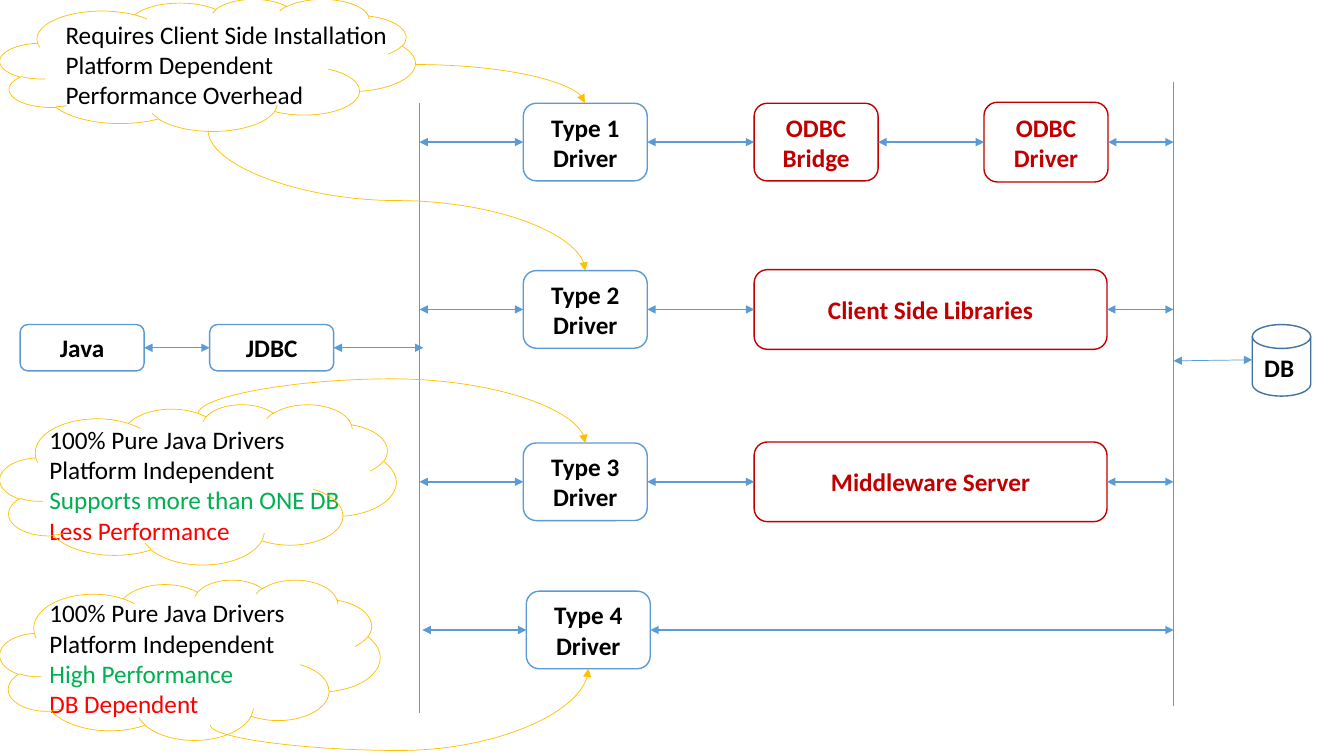
"""Build a slide comparing the four JDBC driver types."""
from dataclasses import dataclass

from lxml import etree
from pptx import Presentation
from pptx import util as u
from pptx.dml import color as dc
from pptx.enum import shapes, text
from pptx.oxml import ns

BLUE, RED, GOLD, BLACK, WHITE = "5B9BD5", "C00000", "FFC000", "000000", "FFFFFF"
GREEN, BRIGHT_RED, DISK_BLUE = "00B050", "FF0000", "43739E"
LEFT_BUS, RIGHT_BUS = 4.16, 11.64
BOX_W, DRIVER_H, BLOCK_H, ENTRY_H = 1.23, 0.77, 0.79, 0.46
ENTRY_MIDDLE = 3.45
SHAPE = shapes.MSO_SHAPE
CONNECTOR = shapes.MSO_CONNECTOR


@dataclass
class Box:
    label: str
    left: float
    width: float = BOX_W
    height: float = BLOCK_H
    color: str = RED
    ink: str = RED


@dataclass
class Row:
    middle: float
    blocks: list[Box]
    shift: float = 0


@dataclass
class Note:
    left: float
    top: float
    width: float
    height: float
    indent: float
    lines: list[tuple[str, str]]
    cloud: tuple[float, float, float, float]


@dataclass
class Curve:
    left: float
    top: float
    width: float
    height: float
    preset: str = "curvedConnector3"
    rotation: int = 0
    flips: str = ""
    bend: float = 0.5


ROWS = [
    Row(1.41, [Box("ODBC\nBridge", 7.48, height=DRIVER_H), Box("ODBC\nDriver", 9.76)]),
    Row(3.07, [Box("Client Side Libraries", 7.48, 3.5)]),
    Row(4.78, [Box("Middleware Server", 7.48, 3.5)]),
    Row(6.25, [], 0.03),
]
ENTRIES = [
    Box("Java", 0.2, height=ENTRY_H, color=BLUE, ink=BLACK),
    Box("JDBC", 2.08, height=ENTRY_H, color=BLUE, ink=BLACK),
]
PURE_JAVA = [("100% Pure Java Drivers", BLACK), ("Platform Independent", BLACK)]
NOTES = [
    Note(0.15, 0.14, 3.95, 1.01, 0.5,
         [("Requires Client Side Installation", BLACK), ("Platform Dependent", BLACK),
          ("Performance Overhead", BLACK)], (0, -0.01, 4.12, 1.31)),
    Note(0.05, 4.16, 4.06, 1.31, 0.44,
         PURE_JAVA + [("Supports more than ONE DB", GREEN), ("Less Performance", BRIGHT_RED)],
         (0, 4.01, 3.93, 1.59)),
    Note(0.05, 5.88, 4.06, 1.31, 0.44,
         PURE_JAVA + [("High Performance", GREEN), ("DB Dependent", BRIGHT_RED)],
         (0, 5.75, 3.77, 1.59)),
]
CURVES = [
    Curve(4.12, 0.64, 1.68, 0.38, "curvedConnector2"),
    Curve(3.24, 0.12, 1.39, 3.74, rotation=270, flips="H"),
    Curve(3.74, 2.33, 0.29, 3.84, rotation=270, flips="H", bend=-1.196),
    Curve(3.68, 5.04, 0.56, 3.75, rotation=90, flips="HV", bend=-0.449),
]


def rgb(value: str) -> dc.RGBColor:
    return dc.RGBColor.from_string(value)


def add_outline(s, kind, left: float, top: float, width: float, height: float,
                color: str, weight: float = 1, fill: str = ""):
    sp = s.shapes.add_shape(kind, *map(u.Inches, (left, top, width, height)))
    sp.shadow.inherit = False
    if fill:
        sp.fill.solid()
        sp.fill.fore_color.rgb = rgb(fill)
    else:
        sp.fill.background()
    sp.line.color.rgb = rgb(color)
    sp.line.width = u.Pt(weight)
    return sp


def format_text(p, color: str, bold: bool = False) -> None:
    for r in p.runs:
        r.font.name = "Calibri"
        r.font.size = u.Pt(18)
        r.font.bold = bold
        r.font.color.rgb = rgb(color)


def add_box(s, box: Box, middle: float) -> None:
    sp = add_outline(s, SHAPE.ROUNDED_RECTANGLE, box.left, middle - box.height / 2,
                     box.width, box.height, box.color, fill=WHITE)
    tf = sp.text_frame
    tf.word_wrap = True
    tf.vertical_anchor = text.MSO_ANCHOR.MIDDLE
    tf.text = box.label
    for p in tf.paragraphs:
        p.alignment = text.PP_ALIGN.CENTER
        format_text(p, box.ink, True)


def add_line(s, x1: float, y1: float, x2: float, y2: float, color: str = BLUE,
             weight: float = 1, ends: tuple[str, ...] = (), kind=CONNECTOR.STRAIGHT):
    c = s.shapes.add_connector(kind, *map(u.Inches, (x1, y1, x2, y2)))
    c.line.color.rgb = rgb(color)
    c.line.width = u.Pt(weight)
    sp_pr = c.element.spPr
    for end in ends:
        etree.SubElement(sp_pr.find(ns.qn("a:ln")), ns.qn(f"a:{end}"), type="triangle")
    etree.SubElement(sp_pr, ns.qn("a:effectLst"))
    return c


def add_arrow(s, x1: float, y1: float, x2: float, y2: float, weight: float = 1) -> None:
    add_line(s, x1, y1, x2, y2, weight=weight, ends=("headEnd", "tailEnd"))


def add_row(s, number: int, row: Row) -> None:
    driver = Box(f"Type {number}\nDriver", 5.19 + row.shift, height=DRIVER_H,
                 color=BLUE, ink=BLACK)
    boxes = [driver] + row.blocks
    starts = [LEFT_BUS + row.shift] + [b.left + b.width for b in boxes]
    stops = [b.left for b in boxes] + [RIGHT_BUS]
    for box in boxes:
        add_box(s, box, row.middle)
    for start, stop in zip(starts, stops):
        add_arrow(s, start, row.middle, stop, row.middle)


def add_note(s, note: Note) -> None:
    tb = s.shapes.add_textbox(*map(u.Inches, (note.left, note.top, note.width, note.height)))
    tf = tb.text_frame
    tf.word_wrap = True
    tf.margin_left = u.Inches(note.indent)
    tf.text = "\n".join(line for line, _ in note.lines)
    for p, (_, color) in zip(tf.paragraphs, note.lines):
        format_text(p, color)
    add_outline(s, SHAPE.CLOUD, *note.cloud, GOLD, 0.5)


def add_curve(s, curve: Curve) -> None:
    c = add_line(s, curve.left, curve.top, curve.left + curve.width,
                 curve.top + curve.height, GOLD, 0.5, ("tailEnd",), CONNECTOR.CURVE)
    xfrm = c.element.spPr.find(ns.qn("a:xfrm"))
    xfrm.set("rot", str(curve.rotation * 60000))
    for axis in curve.flips:
        xfrm.set(f"flip{axis}", "1")
    geometry = c.element.spPr.find(ns.qn("a:prstGeom"))
    geometry.set("prst", curve.preset)
    if curve.preset == "curvedConnector3":
        etree.SubElement(geometry.find(ns.qn("a:avLst")), ns.qn("a:gd"), name="adj1",
                         fmla=f"val {round(curve.bend * 100000)}")


def add_database(s) -> None:
    add_outline(s, SHAPE.FLOWCHART_MAGNETIC_DISK, 12.42, 3.22, 0.58, 0.71, DISK_BLUE)
    tb = s.shapes.add_textbox(*map(u.Inches, (12.44, 3.45, 0.5, 0.4)))
    tb.text_frame.word_wrap = False
    tb.text_frame.text = "DB"
    format_text(tb.text_frame.paragraphs[0], BLACK, True)
    add_arrow(s, RIGHT_BUS, 3.58, 12.42, 3.57, 0.5)


def main() -> None:
    prs = Presentation()
    prs.slide_width, prs.slide_height = u.Inches(13.33), u.Inches(7.5)
    s = prs.slides.add_slide(prs.slide_layouts[6])
    add_line(s, LEFT_BUS, 1.02, LEFT_BUS, 7.07)
    add_line(s, RIGHT_BUS, 0.81, RIGHT_BUS, 7)
    for number, row in enumerate(ROWS, 1):
        add_row(s, number, row)
    for note in NOTES:
        add_note(s, note)
    for curve in CURVES:
        add_curve(s, curve)
    for box, stop in zip(ENTRIES, (ENTRIES[1].left, 4.2)):
        add_box(s, box, ENTRY_MIDDLE)
        add_arrow(s, box.left + box.width, ENTRY_MIDDLE, stop, ENTRY_MIDDLE, 0.5)
    add_database(s)
    prs.save("out.pptx")


if __name__ == "__main__":
    main()
